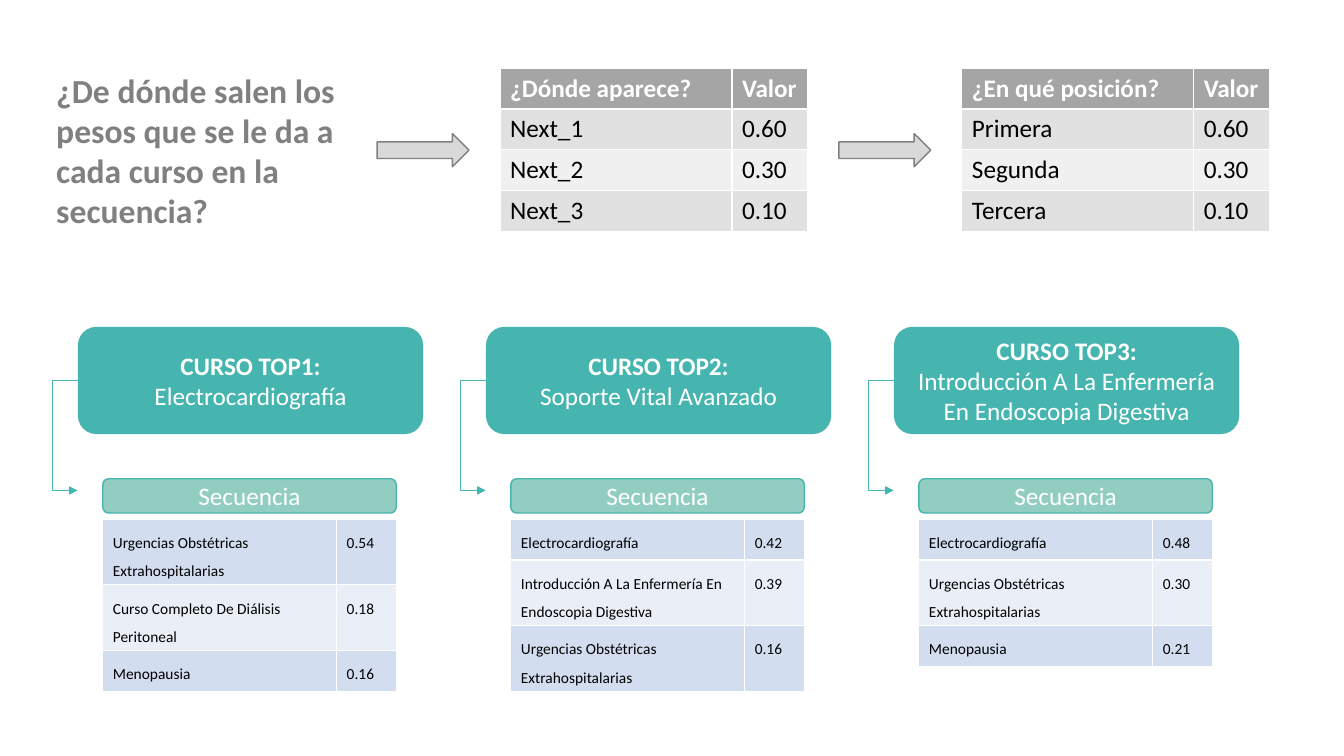
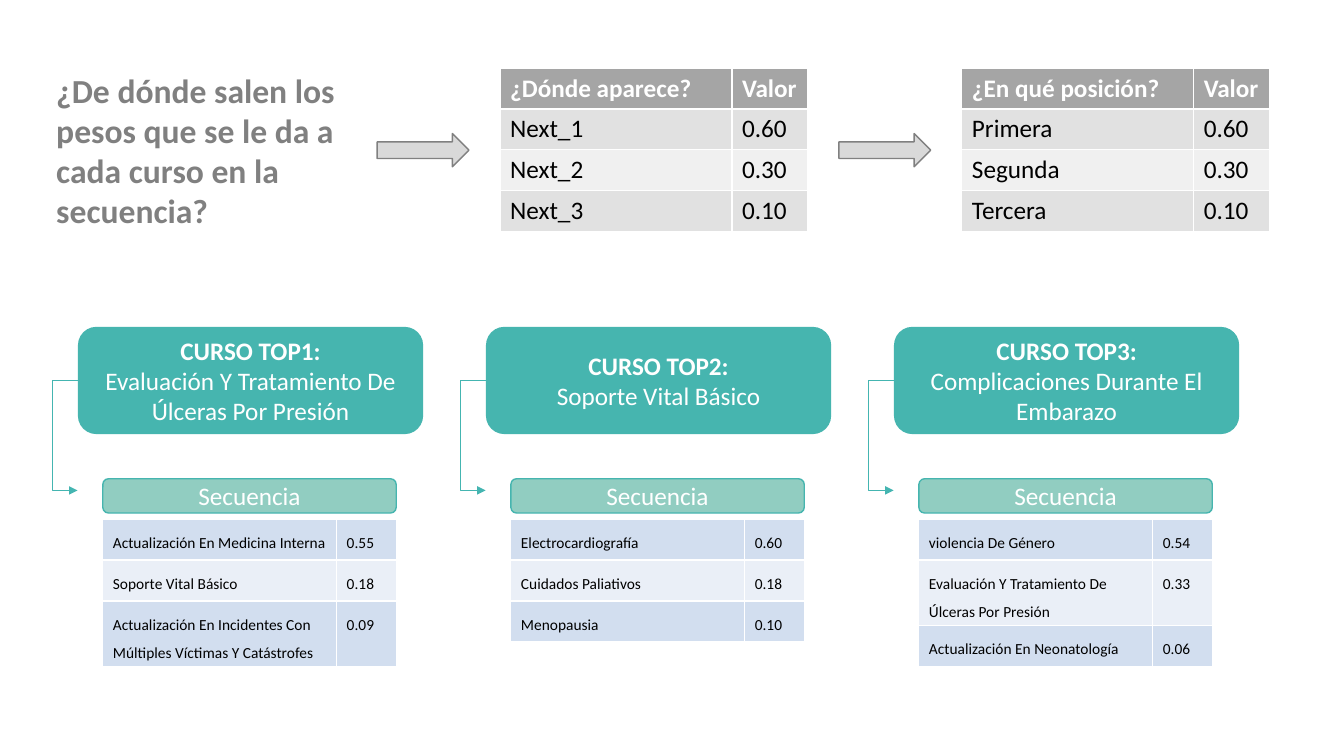
"""Builds two slides that show how the courses of each sequence are weighted."""
import pptx
import pptx.dml.color
import pptx.enum.dml
import pptx.enum.shapes
import pptx.enum.text
import pptx.oxml.ns
import pptx.oxml.xmlchemy
import pptx.util

WIDTH = pptx.util.Inches(13.33)
HEIGHT = pptx.util.Inches(7.5)
FONT = "Calibri"
COLORS = {
    "white": "FFFFFF", "black": "000000", "gray": "808080",
    "teal": "46B5AF", "mint": "91CDC1", "connector": "44B5B1",
    "arrow": "D9D9D9", "header": "A5A5A5",
}
GRAY_BANDS = ("E1E1E1", "F0F0F0")
BLUE_BANDS = ("D2DEEF", "EAEFF7")

COURSE_PITCH = 30.36
WEIGHT_PITCH = 34.36
ROW = 5.41
ELBOW_END = 0.08
ELBOW_BEND = 1.95

QUESTION = "¿De dónde salen los pesos que se le da a cada curso en la secuencia?"
WEIGHT_TABLES = [
    [("¿Dónde aparece?", "Valor"), ("Next_1", "0.60"), ("Next_2", "0.30"), ("Next_3", "0.10")],
    [("¿En qué posición?", "Valor"), ("Primera", "0.60"), ("Segunda", "0.30"), ("Tercera", "0.10")],
]
SLIDES = [
    [
        ("Electrocardiografía", [
            ("Urgencias Obstétricas Extrahospitalarias", "0.54"),
            ("Curso Completo De Diálisis Peritoneal", "0.18"),
            ("Menopausia", "0.16")]),
        ("Soporte Vital Avanzado", [
            ("Electrocardiografía", "0.42"),
            ("Introducción A La Enfermería En Endoscopia Digestiva", "0.39"),
            ("Urgencias Obstétricas Extrahospitalarias", "0.16")]),
        ("Introducción A La Enfermería En Endoscopia Digestiva", [
            ("Electrocardiografía", "0.48"),
            ("Urgencias Obstétricas Extrahospitalarias", "0.30"),
            ("Menopausia", "0.21")]),
    ],
    [
        ("Evaluación Y Tratamiento De Úlceras Por Presión", [
            ("Actualización En Medicina Interna", "0.55"),
            ("Soporte Vital Básico", "0.18"),
            ("Actualización En Incidentes Con Múltiples Víctimas Y Catástrofes", "0.09")]),
        ("Soporte Vital Básico", [
            ("Electrocardiografía", "0.60"),
            ("Cuidados Paliativos", "0.18"),
            ("Menopausia", "0.10")]),
        ("Complicaciones Durante El Embarazo", [
            ("violencia De Género", "0.54"),
            ("Evaluación Y Tratamiento De Úlceras Por Presión", "0.33"),
            ("Actualización En Neonatología", "0.06")]),
    ],
]


def across(percent):
    """Return a share of the slide's width."""
    return round(WIDTH * percent / 100)


def down(percent):
    """Return a share of the slide's height."""
    return round(HEIGHT * percent / 100)


def place(left, top, width, height):
    """Return a box given in percent of the slide."""
    return across(left), down(top), across(width), down(height)


def rgb(color):
    """Return a colour from its hex string."""
    return pptx.dml.color.RGBColor.from_string(color)


def add_run(paragraph, text, size, color, bold=False):
    """Add one styled run to a paragraph."""
    run = paragraph.add_run()
    run.text = text
    run.font.name = FONT
    run.font.size = pptx.util.Pt(size)
    run.font.bold = bold
    run.font.color.rgb = rgb(color)


def add_box(slide, kind, box, fill, line, lines=()):
    """Add a preset shape with centred white lines of (text, bold)."""
    shape = slide.shapes.add_shape(kind, *place(*box))
    shape.shadow.inherit = False
    shape.fill.solid()
    shape.fill.fore_color.rgb = rgb(fill)
    shape.line.color.rgb = rgb(line)
    shape.line.width = pptx.util.Pt(1)
    frame = shape.text_frame
    frame.word_wrap = True
    frame.vertical_anchor = pptx.enum.text.MSO_ANCHOR.MIDDLE
    for index, (text, bold) in enumerate(lines):
        paragraph = frame.add_paragraph() if index else frame.paragraphs[0]
        paragraph.alignment = pptx.enum.text.PP_ALIGN.CENTER
        add_run(paragraph, text, 18, COLORS["white"], bold)
    return shape


def add_table(slide, left, top, widths, rows, bands, size, header=False, spacing=None):
    """Add a banded table, with a header row if asked."""
    box = place(left, top, sum(widths), ROW * len(rows))
    table = slide.shapes.add_table(len(rows), len(widths), *box).table
    table.first_row = header
    for column, width in zip(table.columns, widths):
        column.width = across(width)
    for row_index, row in enumerate(rows):
        is_header = header and row_index == 0
        fill = COLORS["header"] if is_header else bands[(row_index - header) % 2]
        color = COLORS["white" if is_header else "black"]
        for column_index, text in enumerate(row):
            cell = table.cell(row_index, column_index)
            cell.fill.solid()
            cell.fill.fore_color.rgb = rgb(fill)
            paragraph = cell.text_frame.paragraphs[0]
            paragraph.line_spacing = spacing
            add_run(paragraph, text, size, color, is_header)


def add_child(parent, tag, **attributes):
    """Append a drawing element with its attributes and return it."""
    child = parent.makeelement(pptx.oxml.ns.qn(tag), attributes)
    parent.append(child)
    return child


def add_elbow(slide, course, left, top, bottom):
    """Add an arrow that leaves the course's left side and bends back below it."""
    connector = slide.shapes.add_connector(
        pptx.enum.shapes.MSO_CONNECTOR.ELBOW,
        across(left), down(top), across(left - ELBOW_END), down(bottom))
    connector.begin_connect(course, 1)
    connector.line.color.rgb = rgb(COLORS["connector"])
    connector.line.width = pptx.util.Pt(0.5)
    properties = connector._element.spPr
    qn = pptx.oxml.ns.qn
    geometry = properties.find(qn("a:prstGeom"))
    guides = geometry.find(qn("a:avLst"))
    if guides is None:
        guides = add_child(geometry, "a:avLst")
    bend = round(100000 * ELBOW_BEND / ELBOW_END)
    add_child(guides, "a:gd", name="adj1", fmla=f"val {bend}")
    add_child(properties.find(qn("a:ln")), "a:tailEnd", type="triangle")
    add_child(properties, "a:effectLst")


def add_question(slide):
    """Add the question at the top left."""
    frame = slide.shapes.add_textbox(*place(3.45, 8.53, 25.5, 22.93)).text_frame
    frame.word_wrap = True
    frame.auto_size = pptx.enum.text.MSO_AUTO_SIZE.SHAPE_TO_FIT_TEXT
    add_run(frame.paragraphs[0], QUESTION, 24, COLORS["gray"], True)


def add_weights(slide):
    """Add each weight table with the arrow that leads to it."""
    arrow = pptx.enum.shapes.MSO_SHAPE.RIGHT_ARROW
    for index, rows in enumerate(WEIGHT_TABLES):
        offset = index * WEIGHT_PITCH
        add_box(slide, arrow, (28.06 + offset, 17.67, 6.83, 4.4), COLORS["arrow"], COLORS["gray"])
        add_table(slide, 37.21 + offset, 9, (17.25, 5.63), rows, GRAY_BANDS, 18, header=True)


def add_course(slide, index, name, sequence):
    """Add one top course with its arrow and its sequence table."""
    rounded = pptx.enum.shapes.MSO_SHAPE.ROUNDED_RECTANGLE
    offset = index * COURSE_PITCH
    left = 5.85 + offset
    lines = [(f"CURSO TOP{index + 1}:", True), (name, False)]
    course = add_box(slide, rounded, (left, 43.33, 25.58, 14), COLORS["teal"], COLORS["teal"], lines)
    add_elbow(slide, course, left, 50.33, 64.87)
    add_box(slide, rounded, (7.65 + offset, 63.33, 21.83, 4.53), COLORS["mint"], COLORS["teal"],
            [("Secuencia", False)])
    add_table(slide, 7.65 + offset, 68.67, (17.4, 4.43), sequence, BLUE_BANDS, 11, spacing=1.5)


def main():
    """Build and save the presentation."""
    presentation = pptx.Presentation()
    presentation.slide_width = WIDTH
    presentation.slide_height = HEIGHT
    for courses in SLIDES:
        slide = presentation.slides.add_slide(presentation.slide_layouts[6])
        add_question(slide)
        add_weights(slide)
        for index, (name, sequence) in enumerate(courses):
            add_course(slide, index, name, sequence)
    presentation.save("out.pptx")


if __name__ == "__main__":
    main()
